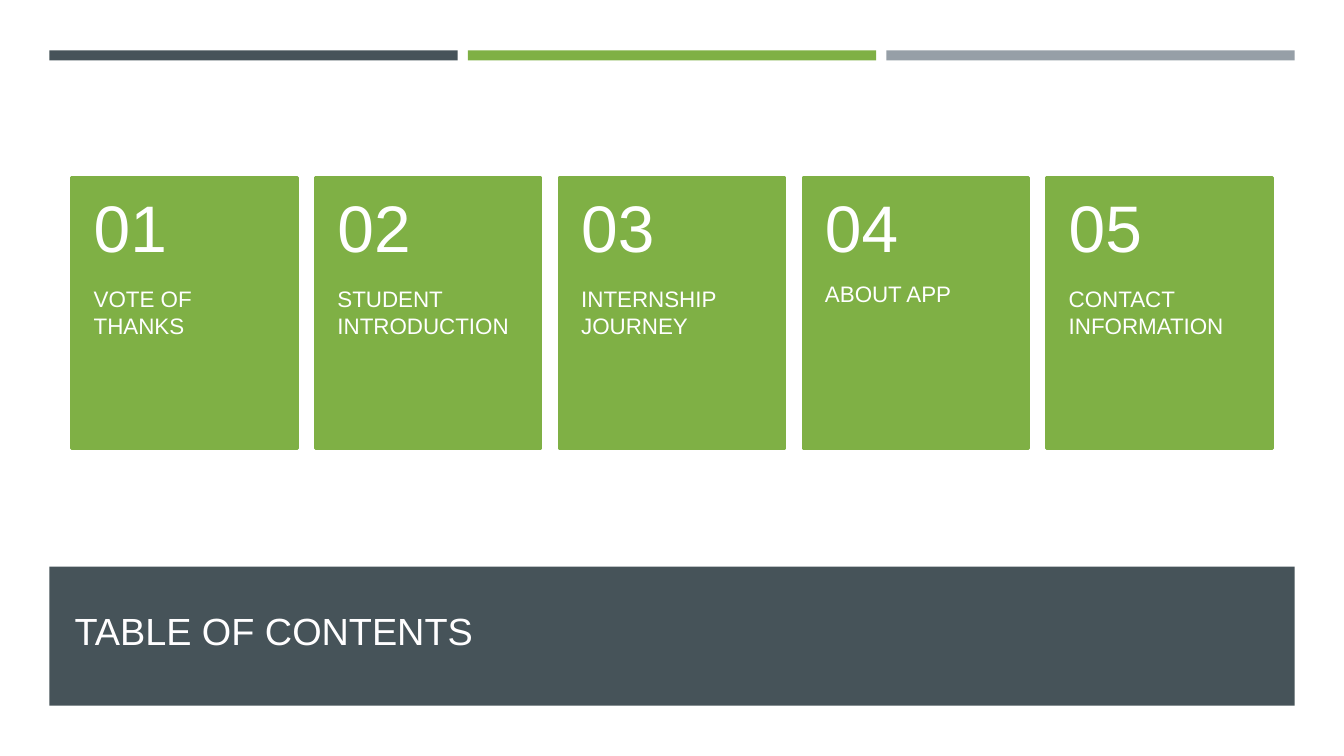
from pptx import Presentation
from pptx.dml.color import RGBColor
from pptx.enum.shapes import MSO_SHAPE
from pptx.enum.text import MSO_ANCHOR, PP_ALIGN
from pptx.util import Pt

SCALE = 9144
SLATE = RGBColor(0x46, 0x53, 0x59)
GREEN = RGBColor(0x7F, 0xB0, 0x45)
GREY = RGBColor(0x96, 0x9F, 0xA7)
WHITE = RGBColor(0xFF, 0xFF, 0xFF)
OFF_WHITE = RGBColor(0xFF, 0xFE, 0xFF)
TOPICS = ["VOTE OF THANKS", "STUDENT INTRODUCTION", "INTERNSHIP JOURNEY",
          "ABOUT APP", "CONTACT INFORMATION"]


def px(*lengths):
    """Turn px lengths into EMU."""
    return [round(n * SCALE) for n in lengths]


def add_block(shapes, box, color, line=None):
    """Add a filled rectangle, outlined in its own colour if a line width is given."""
    sp = shapes.add_shape(MSO_SHAPE.RECTANGLE, *px(*box))
    sp.shadow.inherit = False
    sp.fill.solid()
    sp.fill.fore_color.rgb = color
    if line:
        sp.line.color.rgb = color
        sp.line.width = Pt(line)
    else:
        sp.line.fill.background()


def write(sp, text, size, color=WHITE, anchor=MSO_ANCHOR.TOP, spacing=1.0,
          insets=(10, 5, 10, 5)):
    """Put one formatted paragraph into a shape."""
    tf = sp.text_frame
    tf.word_wrap = True
    tf.vertical_anchor = anchor
    tf.margin_left, tf.margin_top, tf.margin_right, tf.margin_bottom = px(*insets)
    p = tf.paragraphs[0]
    p.alignment = PP_ALIGN.LEFT
    p.line_spacing = spacing
    r = p.add_run()
    r.text = text
    r.font.name = "Arial"
    r.font.size = Pt(size)
    r.font.color.rgb = color


def add_title_band(s, x, y, w, h):
    """Draw the dark band and set the slide title on top of it."""
    add_block(s.shapes, (x, y, w, h), SLATE)
    title = s.shapes.title
    title.element.getparent().append(title.element)
    title.left, title.top, title.width, title.height = px(x + 15, y + 14, w - 45, h - 33)
    write(title, "TABLE OF CONTENTS", 27, color=OFF_WHITE,
          anchor=MSO_ANCHOR.MIDDLE, spacing=0.9)


def add_top_bars(s, x, y, w, h, gap=10):
    """Draw three equal coloured bars across the box."""
    colors = [SLATE, GREEN, GREY]
    bar = (w - gap * (len(colors) - 1)) / len(colors)
    for i, color in enumerate(colors):
        add_block(s.shapes, (x + i * (bar + gap), y, bar, h), color)


def add_card(s, number, topic, x, y, w, h, head=107):
    """Draw one numbered card with its topic below the number."""
    shapes = s.shapes.add_group_shape().shapes
    add_block(shapes, (x, y, w, h), GREEN, line=1.75)
    sp = shapes.add_textbox(*px(x, y + head, w, h - head))
    write(sp, topic, 16, insets=(22, 0, 22, 36))
    sp = shapes.add_textbox(*px(x, y, w, head))
    write(sp, f"{number:02}", 47, anchor=MSO_ANCHOR.MIDDLE, spacing=0.9,
          insets=(22, 18, 22, 18))


def add_cards(s, x, y, w, h, card=224):
    """Spread the topic cards evenly over the box."""
    step = (w - card) / (len(TOPICS) - 1)
    for i, topic in enumerate(TOPICS):
        add_card(s, i + 1, topic, x + i * step, y, card, h)


def main():
    """Build the contents slide and save it."""
    prs = Presentation()
    prs.slide_width, prs.slide_height = px(1333, 750)
    s = prs.slides.add_slide(prs.slide_layouts[5])
    s.background.fill.solid()
    s.background.fill.fore_color.rgb = WHITE
    add_title_band(s, 49, 562, 1235, 138)
    add_top_bars(s, 49, 50, 1235, 10)
    add_cards(s, 71, 176, 1191, 269)
    prs.save("out.pptx")


if __name__ == "__main__":
    main()
